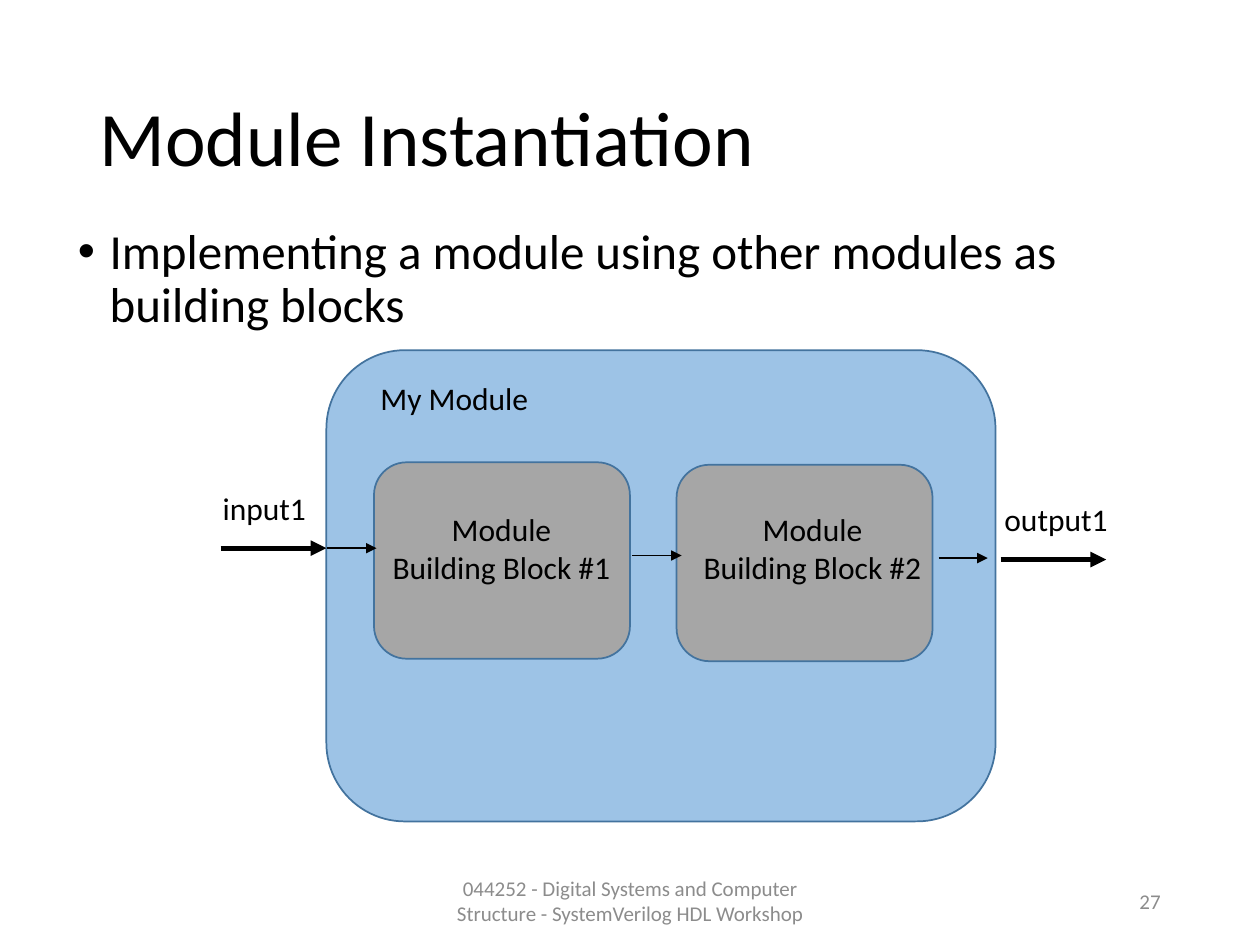
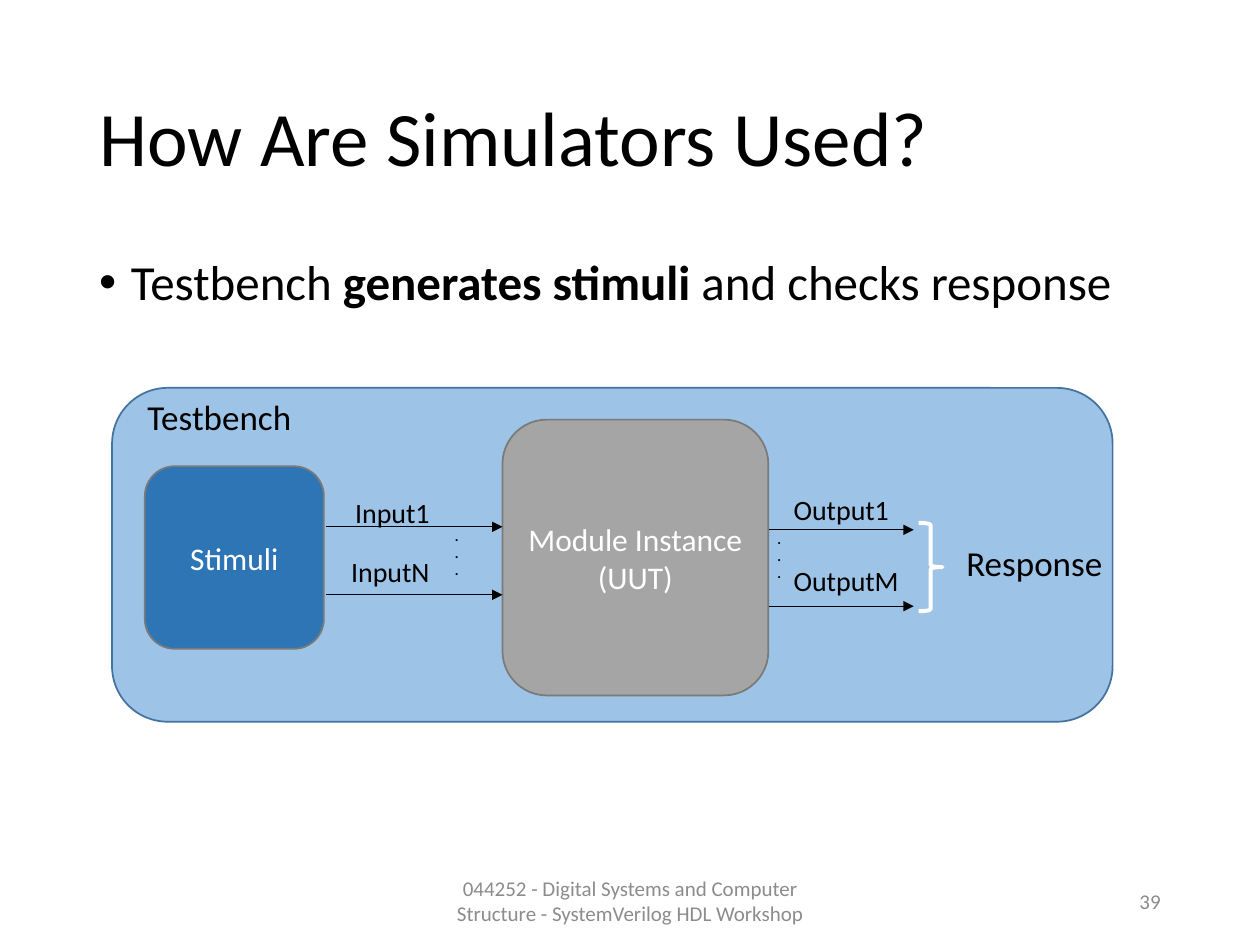
from lxml import etree
from pptx import Presentation
from pptx.dml.color import RGBColor
from pptx.enum.shapes import MSO_CONNECTOR, MSO_SHAPE
from pptx.enum.text import MSO_ANCHOR, MSO_AUTO_SIZE, PP_ALIGN
from pptx.oxml.ns import qn
from pptx.util import Cm, Pt

LEFT, CENTER, RIGHT = PP_ALIGN.LEFT, PP_ALIGN.CENTER, PP_ALIGN.RIGHT
TOP, MIDDLE = MSO_ANCHOR.TOP, MSO_ANCHOR.MIDDLE
ROUNDED, BRACE = MSO_SHAPE.ROUNDED_RECTANGLE, MSO_SHAPE.LEFT_BRACE
STRAIGHT = MSO_CONNECTOR.STRAIGHT
NO_AUTOFIT = MSO_AUTO_SIZE.NONE

BLACK = RGBColor(0x00, 0x00, 0x00)
WHITE = RGBColor(0xFF, 0xFF, 0xFF)
FOOTER_GRAY = RGBColor(0x8C, 0x8C, 0x8C)
FRAME_BLUE = RGBColor(0x9D, 0xC3, 0xE6)
EDGE_BLUE = RGBColor(0x43, 0x73, 0x9E)
BLOCK_GRAY = RGBColor(0xA6, 0xA6, 0xA6)
UUT_GRAY = RGBColor(0xA5, 0xA5, 0xA5)
EDGE_GRAY = RGBColor(0x7A, 0x7A, 0x7A)
STIMULI_BLUE = RGBColor(0x2E, 0x75, 0xB6)

FONT = "Calibri"
FOOTER = "044252 - Digital Systems and Computer Structure - SystemVerilog HDL Workshop"


def write(tf, *lines, size=18, color=BLACK, align=LEFT, anchor=TOP,
          bold=False, spacing=None, before=None):
    """Each line is a string, or a tuple whose odd pieces are bold."""
    tf.word_wrap = True
    tf.auto_size = NO_AUTOFIT
    tf.vertical_anchor = anchor
    for i, line in enumerate(lines):
        p = tf.paragraphs[0] if i == 0 else tf.add_paragraph()
        p.alignment = align
        if spacing:
            p.line_spacing = spacing
        if before:
            p.space_before = Pt(before)
        pieces = (line,) if isinstance(line, str) else line
        for j, piece in enumerate(pieces):
            r = p.add_run()
            r.text = piece
            r.font.name = FONT
            r.font.size = Pt(size)
            r.font.bold = bold or j % 2 == 1
            r.font.color.rgb = color


def add_text(slide, x, y, w, h, *lines, **fmt):
    sp = slide.shapes.add_textbox(Cm(x), Cm(y), Cm(w), Cm(h))
    write(sp.text_frame, *lines, **fmt)
    return sp


def add_bullet(slide, x, y, w, h, line):
    sp = add_text(slide, x, y, w, h, line, size=28, spacing=0.9, before=10)
    pPr = sp.text_frame.paragraphs[0]._p.get_or_add_pPr()
    pPr.set("marL", str(Cm(0.64)))
    pPr.set("indent", str(-Cm(0.64)))
    etree.SubElement(pPr, qn("a:buFont")).set("typeface", "Arial")
    etree.SubElement(pPr, qn("a:buChar")).set("char", "•")


def add_box(slide, x, y, w, h, fill, edge, *lines):
    sp = slide.shapes.add_shape(ROUNDED, Cm(x), Cm(y), Cm(w), Cm(h))
    sp.shadow.inherit = False
    sp.fill.solid()
    sp.fill.fore_color.rgb = fill
    sp.line.color.rgb = edge
    sp.line.width = Pt(1)
    write(sp.text_frame, *lines, color=WHITE, align=CENTER, anchor=MIDDLE)


def add_brace(slide, x, y, w, h):
    sp = slide.shapes.add_shape(BRACE, Cm(x), Cm(y), Cm(w), Cm(h))
    sp.shadow.inherit = False
    sp.rotation = 180
    sp.fill.background()
    sp.line.color.rgb = WHITE
    sp.line.width = Pt(2.25)


def add_arrow(slide, x1, x2, y, width):
    cxn = slide.shapes.add_connector(STRAIGHT, Cm(x1), Cm(y), Cm(x2), Cm(y))
    cxn.line.color.rgb = BLACK
    cxn.line.width = Pt(width)
    etree.SubElement(cxn.line._get_or_add_ln(), qn("a:tailEnd")).set("type", "triangle")
    etree.SubElement(cxn._element.spPr, qn("a:effectLst"))


def add_slide(prs, title, number, title_width):
    slide = prs.slides.add_slide(prs.slide_layouts[5])
    sp = slide.shapes.title
    sp.left, sp.top, sp.width, sp.height = Cm(1.75), Cm(1.02), Cm(title_width), Cm(3.68)
    write(sp.text_frame, title, size=44, anchor=MIDDLE, spacing=0.9)
    footer = dict(size=12, color=FOOTER_GRAY, anchor=MIDDLE)
    add_text(slide, 8.41, 17.65, 8.59, 1.02, FOOTER, align=CENTER, **footer)
    add_text(slide, 17.93, 17.65, 5.72, 1.02, str(number), align=RIGHT, **footer)
    return slide


def build_instantiation(prs):
    slide = add_slide(prs, "Module Instantiation", 27, 23.16)
    add_bullet(slide, 1.32, 4.45, 22.76, 12.93,
               "Implementing a module using other modules as building blocks")
    add_box(slide, 6.58, 7.06, 13.49, 9.5, FRAME_BLUE, EDGE_BLUE)
    add_text(slide, 7.42, 7.52, 6.86, 1.02, "My Module")
    blocks = [(7.54, 9.32, 6.68), (13.64, 9.37, 12.95)]
    for n, (x, y, label_x) in enumerate(blocks, 1):
        add_box(slide, x, y, 5.16, 3.96, BLOCK_GRAY, EDGE_BLUE)
        add_text(slide, label_x, 10.16, 6.86, 1.8,
                 "Module", f"Building Block #{n}", align=CENTER)
    for x, y, name in [(1.9, 9.73, "input1"), (17.86, 9.96, "output1")]:
        add_text(slide, x, y, 6.86, 1.02, name, align=CENTER)
    for x, y in [(4.45, 11.05), (20.17, 11.28)]:
        add_arrow(slide, x, x + 2.13, y, 3)
    for x, y in [(6.6, 11.05), (12.75, 11.2), (18.92, 11.25)]:
        add_arrow(slide, x, x + 0.99, y, 1)


def build_simulators(prs):
    slide = add_slide(prs, "How Are Simulators Used?", 39, 21.89)
    add_bullet(slide, 1.75, 5.08, 21.89, 12.09,
               ("Testbench ", "generates stimuli ", "and checks response"))
    add_box(slide, 2.26, 7.82, 20.17, 6.73, FRAME_BLUE, EDGE_BLUE)
    add_box(slide, 2.92, 9.4, 3.61, 3.68, STIMULI_BLUE, EDGE_GRAY, "Stimuli")
    add_box(slide, 10.13, 8.46, 5.36, 5.56, UUT_GRAY, EDGE_GRAY,
            "Module Instance", "(UUT)")
    add_text(slide, 2.72, 7.85, 3.71, 1.12, "Testbench", size=20)
    add_text(slide, 19.23, 10.8, 3.43, 1.12, "Response", size=20)
    for x1, x2, y in [(6.58, 10.13, 10.62), (6.58, 10.13, 11.99),
                      (15.5, 18.42, 10.68), (15.5, 18.42, 12.22)]:
        add_arrow(slide, x1, x2, y, 0.5)
    for x, y, name in [(6.91, 9.86, "Input1"), (6.83, 11.05, "InputN"),
                       (15.75, 9.8, "Output1"), (15.75, 11.23, "OutputM")]:
        add_text(slide, x, y, 2.8, 0.94, name, size=16)
    for x, y in [(8.92, 10.52), (15.42, 10.57)]:
        add_text(slide, x, y, 0.7, 1.27, *"...", size=8, bold=True)
    add_brace(slide, 18.52, 10.54, 0.48, 1.78)


def main():
    prs = Presentation()
    prs.slide_width, prs.slide_height = Cm(25.4), Cm(19.05)
    build_instantiation(prs)
    build_simulators(prs)
    prs.save("out.pptx")


if __name__ == "__main__":
    main()
